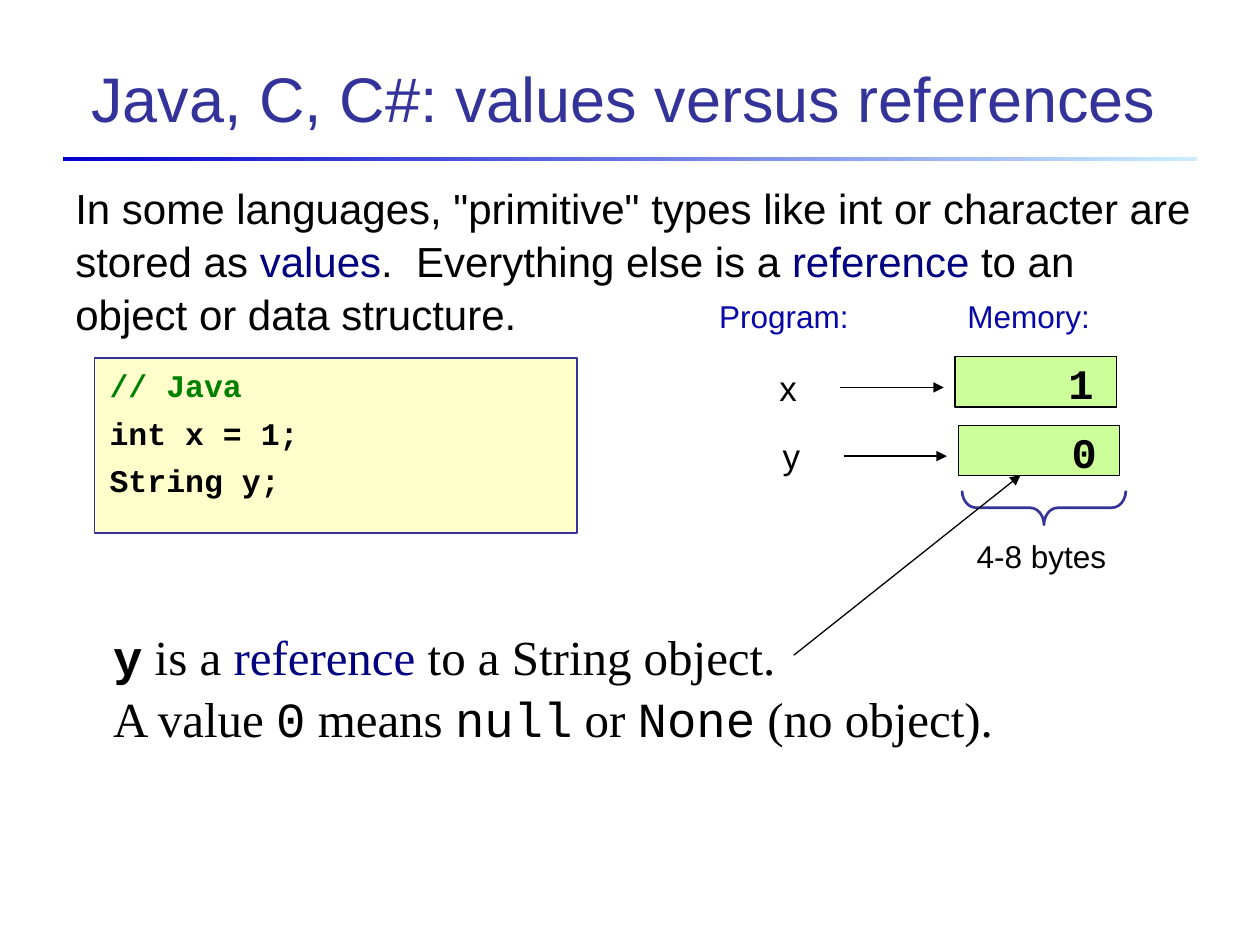
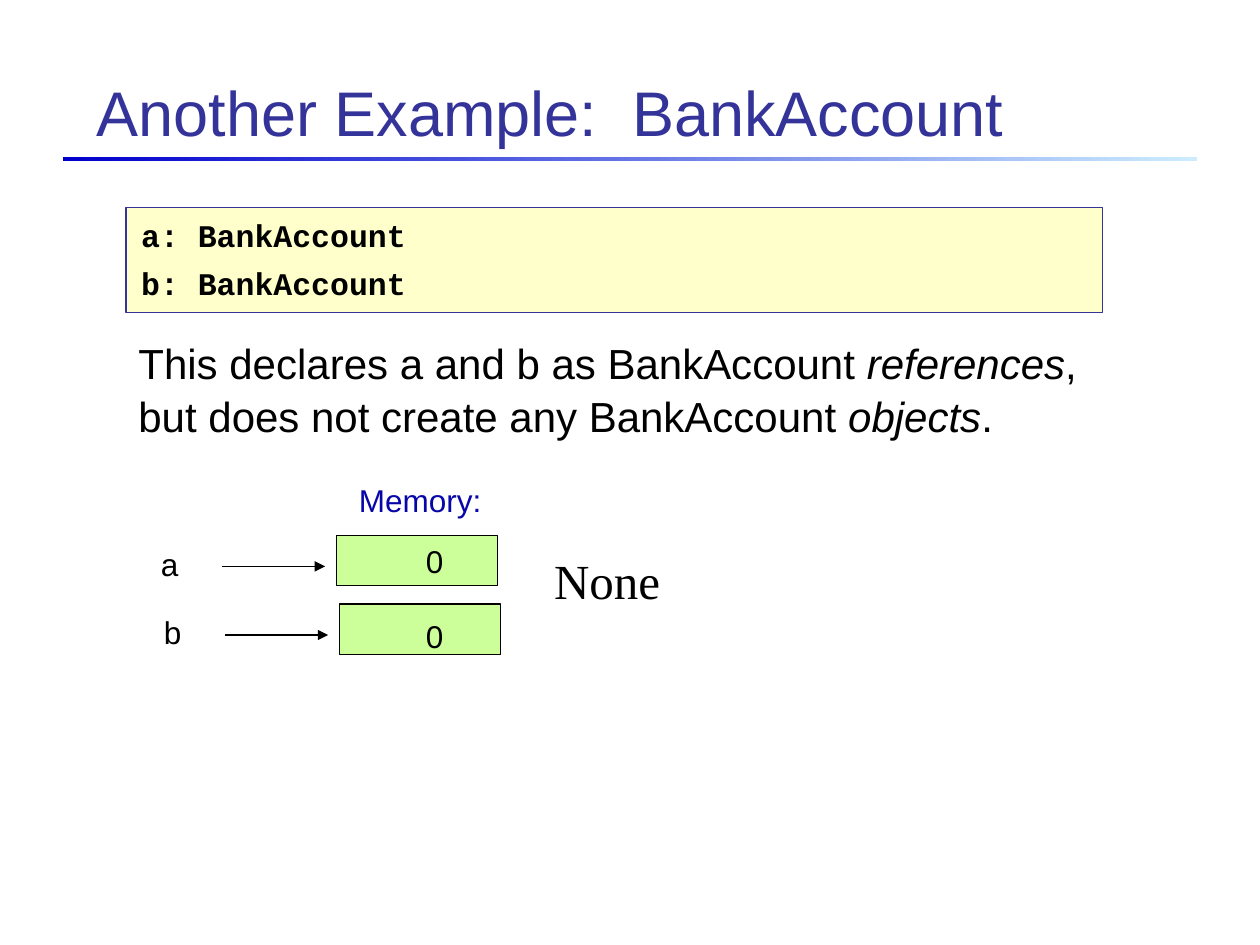
from lxml import etree
from pptx import Presentation
from pptx.dml.color import RGBColor
from pptx.enum.shapes import MSO_CONNECTOR, MSO_SHAPE
from pptx.enum.text import MSO_ANCHOR as ANCHOR, PP_ALIGN as ALIGN
from pptx.oxml.ns import qn
from pptx.util import Inches, Pt

BLACK = RGBColor(0x00, 0x00, 0x00)
INDIGO = RGBColor(0x33, 0x33, 0x99)
NAVY = RGBColor(0x00, 0x00, 0x80)
HEADING_BLUE = RGBColor(0x07, 0x07, 0xA9)
RULE_DARK = RGBColor(0x00, 0x00, 0xCC)
RULE_LIGHT = RGBColor(0xCC, 0xEC, 0xFF)
COMMENT_GREEN = RGBColor(0x00, 0x80, 0x00)
CODE_YELLOW = RGBColor(0xFF, 0xFF, 0xCC)
CELL_GREEN = RGBColor(0xCC, 0xFF, 0x99)

SANS, MONO, SERIF = "Arial", "Courier New", "Times New Roman"
WIDTH, HEIGHT = Inches(10), Inches(7.5)
COLS, ROWS = 100, 75
LINE_SPACING = 1.05
CELL_W, CELL_H = 12.8, 4
ROW_SHIFT, ROW_PITCH = 0.25, 5.45


def grid(*lengths):
    """Turn alternating column and row counts into EMU."""
    units = (WIDTH / COLS, HEIGHT / ROWS)
    return [round(n * units[i % 2]) for i, n in enumerate(lengths)]


def run(text, size=18, font=SANS, color=BLACK, bold=False, italic=False):
    return text, size, font, color, bold, italic


def write(sp, paragraphs, align=ALIGN.LEFT, anchor=ANCHOR.TOP, before=0, wrap=True):
    """Fill a shape with paragraphs, each a list of runs."""
    tf = sp.text_frame
    tf.word_wrap = wrap
    tf.vertical_anchor = anchor
    for i, runs in enumerate(paragraphs):
        p = tf.add_paragraph() if i else tf.paragraphs[0]
        p.alignment = align
        p.line_spacing = LINE_SPACING
        p.space_before = Pt(before)
        for text, size, font, color, bold, italic in runs:
            r = p.add_run()
            r.text = text
            r.font.size, r.font.name = Pt(size), font
            r.font.bold, r.font.italic = bold, italic
            r.font.color.rgb = color


def add_text(s, box, paragraphs, **style):
    sp = s.shapes.add_textbox(*grid(*box))
    write(sp, paragraphs, **style)


def add_box(s, box, fill, line):
    sp = s.shapes.add_shape(MSO_SHAPE.RECTANGLE, *grid(*box))
    sp.shadow.inherit = False
    sp.fill.solid()
    sp.fill.fore_color.rgb = fill
    sp.line.color.rgb = line
    sp.line.width = Pt(0.75)
    return sp


def add_title(s, text, box, align, anchor):
    add_text(s, box, [[run(text, 36, color=INDIGO)]], align=align, anchor=anchor)
    rule = s.shapes.add_shape(MSO_SHAPE.RECTANGLE, *grid(5, 12.5, 90, 0.3))
    rule.shadow.inherit = False
    rule.line.fill.background()
    rule.fill.gradient()
    rule.fill.gradient_angle = 0
    for stop, color in zip(rule.fill.gradient_stops, (RULE_DARK, RULE_LIGHT)):
        stop.color.rgb = color


def add_code(s, box, lines):
    sp = add_box(s, box, CODE_YELLOW, INDIGO)
    sp.text_frame.margin_left = Inches(0.12)
    write(sp, [[run(text, font=MONO, color=color, bold=True)] for text, color in lines],
          before=4.5)


def add_heading(s, text, col, row):
    add_text(s, (col, row, 12.7, 4), [[run(text, color=HEADING_BLUE)]], before=11.2)


def add_label(s, runs, col, row, width=4.1):
    add_text(s, (col, row, width, 4), [runs], align=ALIGN.CENTER, before=11.2, wrap=False)


def add_arrow(s, start, end):
    line = s.shapes.add_connector(MSO_CONNECTOR.STRAIGHT, *grid(*start, *end))
    line.line.color.rgb = BLACK
    line.line.width = Pt(0.75)
    etree.SubElement(line.line._get_or_add_ln(), qn("a:tailEnd"), type="triangle")
    etree.SubElement(line._element.spPr, qn("a:effectLst"))


def add_variable(s, name, col, row):
    """Draw a name, an arrow and the memory cell whose corner is at col, row."""
    cell = add_box(s, (col, row, CELL_W, CELL_H), CELL_GREEN, BLACK)
    add_label(s, name, col - 14.95, row + 0.1)
    add_arrow(s, (col - 9.1, row + 2.45), (col - 0.9, row + 2.45))
    return cell


def add_brace(s, box):
    sp = s.shapes.add_shape(MSO_SHAPE.RIGHT_BRACE, *grid(*box))
    sp.shadow.inherit = False
    sp.adjustments[0] = 0.41
    sp.rotation = 90
    sp.fill.background()
    sp.line.color.rgb = INDIGO
    sp.line.width = Pt(1.5)


def values_slide(s):
    add_title(s, "Java, C, C#: values versus references", (2, 2.8, 95, 9.5),
              ALIGN.CENTER, ANCHOR.MIDDLE)
    add_code(s, (7.5, 28.4, 38.3, 13.9),
             [("// Java", COMMENT_GREEN), ("int x = 1;", BLACK), ("String y;", BLACK)])
    add_heading(s, "Program:", 56.1, 22.9)
    add_heading(s, "Memory:", 75.8, 22.9)
    for i, (name, value) in enumerate([("x", "1"), ("y", "0")]):
        cell = add_variable(s, [run(name, 20), run(" ")],
                            75.8 + i * ROW_SHIFT, 28.3 + i * ROW_PITCH)
        cell.text_frame.margin_right = Inches(0.18)
        write(cell, [[run(value, 24, MONO, bold=True)]],
              align=ALIGN.RIGHT, anchor=ANCHOR.MIDDLE)
    add_brace(s, (81.5, 33.8, 2.7, 13))
    add_label(s, [run("4-8 bytes ")], 76.5, 42, 13)
    add_text(s, (5, 13.8, 91, 17.7), [[
        run('In some languages, "primitive" types like int or character are stored as ', 24),
        run("values", 24, color=NAVY),
        run(".  Everything else is a ", 24),
        run("reference", 24, color=NAVY),
        run(" to an object or data structure.", 24)]], before=11.2)
    add_text(s, (8, 49, 86, 10.3), [
        [run("y", 28, MONO, bold=True), run(" is a ", 28, SERIF),
         run("reference", 28, SERIF, NAVY), run(" to a String object.", 28, SERIF)],
        [run(text, 28, font) for text, font in [
            ("A value ", SERIF), ("0", MONO), (" means ", SERIF), ("null", MONO),
            (" or ", SERIF), ("None", MONO), (" (no object).", SERIF)]]])
    add_arrow(s, (63, 52), (81, 37.7))


def account_slide(s):
    add_title(s, "Another Example:  BankAccount", (6.7, 2.8, 86.6, 9.5),
              ALIGN.LEFT, ANCHOR.BOTTOM)
    add_code(s, (10, 16.5, 77.5, 8.3),
             [("a: BankAccount", BLACK), ("b: BankAccount", BLACK)])
    add_heading(s, "Memory:", 27.5, 37.5)
    for i, name in enumerate("ab"):
        add_variable(s, [run(name + " ")], 26.7 + i * ROW_SHIFT, 42.5 + i * ROW_PITCH)
        add_label(s, [run("0 ")], 32.8, 42.4 + i * 5.9)
    add_text(s, (10, 26.1, 77.5, 9), [[
        run("This declares a and b as BankAccount ", 24),
        run("references", 24, italic=True),
        run(", but does not create any BankAccount ", 24),
        run("objects", 24, italic=True),
        run(".", 24)]], before=11.2)
    add_text(s, (43, 43, 15, 5.7), [[run("None", 28, SERIF)]])


def main():
    prs = Presentation()
    prs.slide_width, prs.slide_height = WIDTH, HEIGHT
    for build in (values_slide, account_slide):
        build(prs.slides.add_slide(prs.slide_layouts[6]))
    prs.save("out.pptx")


if __name__ == "__main__":
    main()
